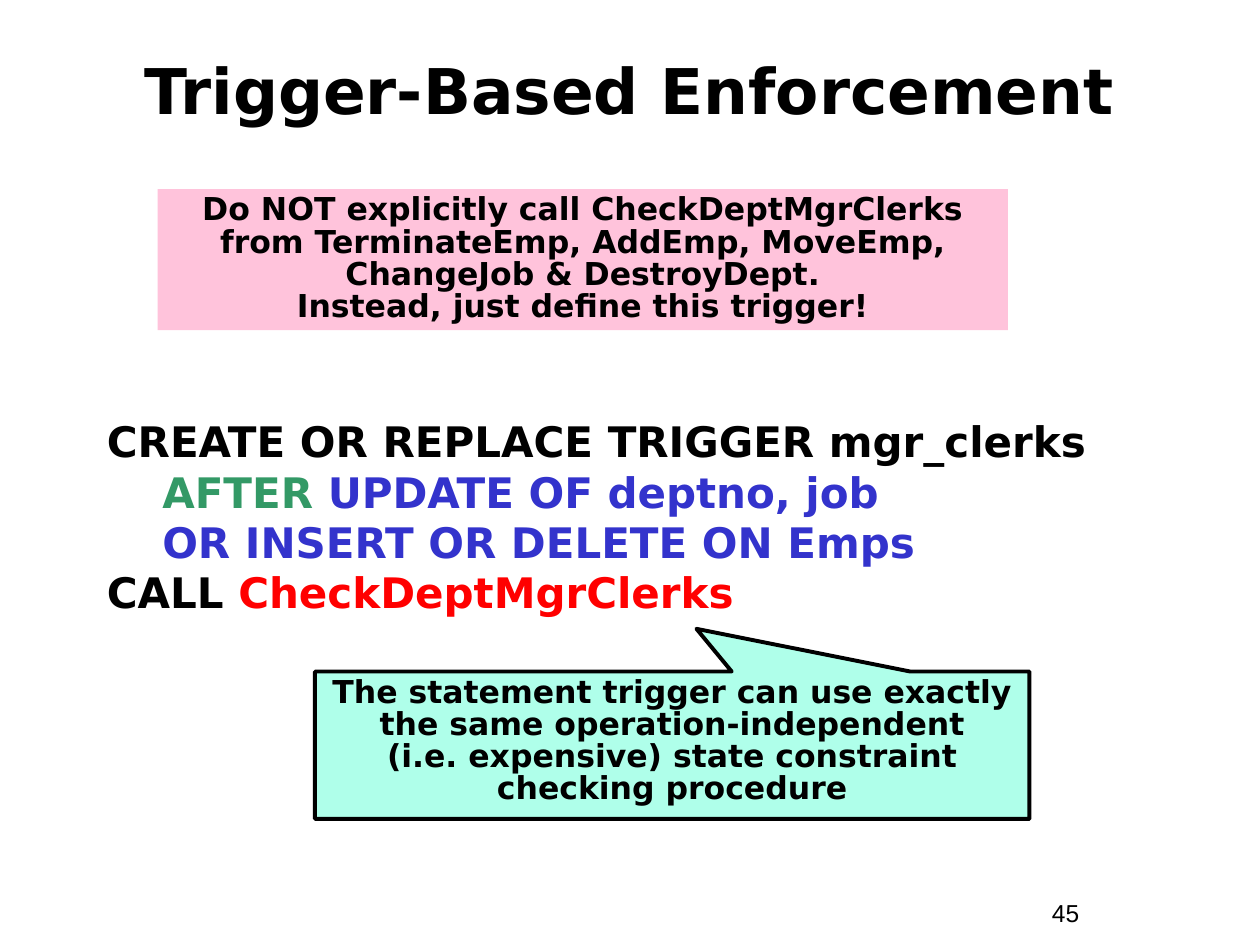
from pptx import Presentation
from pptx.dml.color import RGBColor
from pptx.enum.shapes import MSO_SHAPE
from pptx.enum.text import MSO_ANCHOR, PP_ALIGN
from pptx.util import Inches, Pt

CENTER = PP_ALIGN.CENTER
LEFT = PP_ALIGN.LEFT
TOP = MSO_ANCHOR.TOP
MIDDLE = MSO_ANCHOR.MIDDLE
RECTANGLE = MSO_SHAPE.RECTANGLE
CALLOUT = MSO_SHAPE.RECTANGULAR_CALLOUT

BLACK = "000000"
GREEN = "339966"
BLUE = "3333CC"
RED = "FF0000"
PINK = "FFC3DB"
MINT = "AFFFEA"
HEADING_FONT = "DejaVu Sans"


def color(value):
    return RGBColor.from_string(value)


def place(area):
    return [Inches(length) for length in area]


def write_paragraph(para, spans, size, align=LEFT, font=HEADING_FONT, bold=True):
    para.alignment = align
    para.font.name = font
    para.font.size = Pt(size)
    para.font.bold = bold
    for text, shade in spans:
        for number, line in enumerate(text.split("\n")):
            if number:
                para.add_line_break()
            if line:
                span = para.add_run()
                span.text = line
                span.font.color.rgb = color(shade)


def add_text(page, area, paragraphs, size, anchor=TOP, hanging=0, **style):
    frame = page.shapes.add_textbox(*place(area)).text_frame
    frame.word_wrap = True
    frame.vertical_anchor = anchor
    for number, spans in enumerate(paragraphs):
        para = frame.add_paragraph() if number else frame.paragraphs[0]
        if hanging:
            properties = para._p.get_or_add_pPr()
            properties.set("marL", str(Inches(hanging)))
            properties.set("indent", str(-Inches(hanging)))
        write_paragraph(para, spans, size, **style)


def add_note(page, kind, area, fill, text):
    note = page.shapes.add_shape(kind, *place(area))
    note.shadow.inherit = False
    note.fill.solid()
    note.fill.fore_color.rgb = color(fill)
    note.line.fill.background()
    frame = note.text_frame
    frame.word_wrap = True
    frame.vertical_anchor = TOP
    para = frame.paragraphs[0]
    para.line_spacing = 0.85
    write_paragraph(para, [(text, BLACK)], 18, CENTER)
    return note


def add_callout(page, area, fill, text, tip):
    callout = add_note(page, CALLOUT, area, fill, text)
    callout.adjustments[0], callout.adjustments[1] = tip
    callout.line.color.rgb = color(BLACK)
    callout.line.width = Pt(2.25)


def main():
    deck = Presentation()
    deck.slide_width = Inches(10)
    deck.slide_height = Inches(7.5)
    page = deck.slides.add_slide(deck.slide_layouts[6])

    add_text(page, (8.25, 7.08, 0.92, 0.34), [[("45", BLACK)]], 14,
             font="Arial", bold=False)
    add_text(page, (0.33, 0.33, 9.33, 0.75),
             [[("Trigger-Based Enforcement", BLACK)]], 36,
             anchor=MIDDLE, align=CENTER)
    trigger_code = [
        [("CREATE OR REPLACE TRIGGER mgr_clerks\n", BLACK),
         ("AFTER ", GREEN),
         ("UPDATE OF deptno, job\nOR INSERT OR DELETE ON Emps", BLUE)],
        [("CALL ", BLACK), ("CheckDeptMgrClerks", RED)],
    ]
    add_text(page, (0.75, 3.25, 8.5, 2.88), trigger_code, 24, hanging=0.44)
    add_note(page, RECTANGLE, (1.25, 1.5, 6.75, 1.12), PINK,
             "Do NOT explicitly call CheckDeptMgrClerks from TerminateEmp, "
             "AddEmp, MoveEmp, ChangeJob & DestroyDept.\n"
             "Instead, just define this trigger!")
    add_callout(page, (2.5, 5.33, 5.67, 1.17), MINT,
                "The statement trigger can use exactly the same "
                "operation-independent\n"
                "(i.e. expensive) state constraint checking procedure",
                (0.034, -0.79))
    deck.save("out.pptx")


if __name__ == "__main__":
    main()
